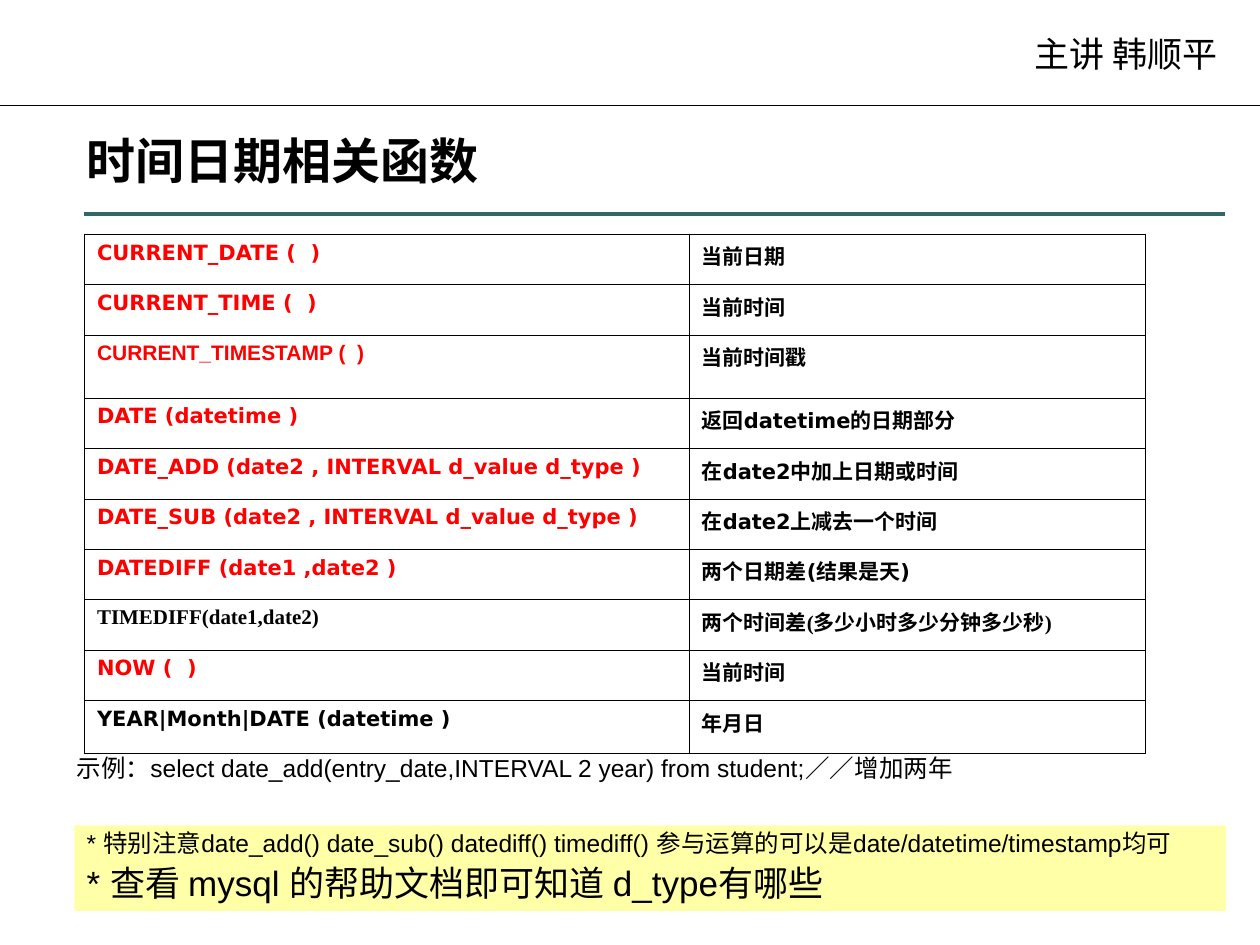
import pptx
import pptx.dml.color
import pptx.enum.shapes
import pptx.enum.text
import pptx.oxml
import pptx.oxml.ns
import pptx.util
from lxml import etree

Inches, Pt = pptx.util.Inches, pptx.util.Pt
qn = pptx.oxml.ns.qn

PRESENTER = "主讲 韩顺平"
TITLE = "时间日期相关函数"
SANS, ARIAL, SERIF = "DejaVu Sans", "Arial", "Times New Roman"
FUNCTIONS = [
    ("CURRENT_DATE (  )", "当前日期", "highlight", SANS, SANS),
    ("CURRENT_TIME (  )", "当前时间", "highlight", SANS, SANS),
    ("CURRENT_TIMESTAMP (  )", "当前时间戳", "highlight", ARIAL, ARIAL),
    ("DATE (datetime )", "返回datetime的日期部分", "highlight", SANS, SANS),
    ("DATE_ADD (date2 , INTERVAL d_value d_type )", "在date2中加上日期或时间", "highlight", SANS, SANS),
    ("DATE_SUB (date2 , INTERVAL d_value d_type )", "在date2上减去一个时间", "highlight", SANS, SANS),
    ("DATEDIFF (date1 ,date2 )", "两个日期差(结果是天)", "highlight", SANS, SANS),
    ("TIMEDIFF(date1,date2)", "两个时间差(多少小时多少分钟多少秒)", "text", SERIF, SERIF),
    ("NOW (  )", "当前时间", "highlight", SANS, SANS),
    ("YEAR|Month|DATE (datetime )", "年月日", "text", SANS, SERIF),
]
COLUMN_WIDTHS = (4.8, 3.62)
ROW_HEIGHT = 0.4
SPECIAL_HEIGHTS = {2: 0.5, 9: 0.42}
EXAMPLE = "示例：select date_add(entry_date,INTERVAL 2 year) from student;／／增加两年"
NOTES = [
    ("* 特别注意date_add() date_sub() datediff() timediff() 参与运算的可以是date/datetime/timestamp均可", "note"),
    ("* 查看 mysql 的帮助文档即可知道 d_type有哪些", "large"),
]
THEME = {
    "text": "000000", "highlight": "FF0000", "rule": "336666", "note_fill": "FFFF00",
    "sizes": {"title": 28, "large": 20, "note": 14, "cell": 12},
}
HANGING = 0.38


def rgb(key):
    return pptx.dml.color.RGBColor.from_string(THEME[key])


def write(paragraph, text, size, font=ARIAL, color="text", bold=False, hanging=0, spacing=None, before=None):
    if hanging:
        properties = paragraph._p.get_or_add_pPr()
        properties.set("marL", str(Inches(hanging)))
        properties.set("indent", str(-Inches(hanging)))
    paragraph.alignment = pptx.enum.text.PP_ALIGN.LEFT
    paragraph.line_spacing = spacing
    paragraph.space_before = before
    run = paragraph.add_run()
    run.text = text
    run.font.size = Pt(THEME["sizes"][size])
    run.font.name = font
    run.font.bold = bold
    run.font.color.rgb = rgb(color)


def add_text(slide, left, top, width, height, text, size, anchor="TOP", **text_format):
    frame = slide.shapes.add_textbox(*map(Inches, (left, top, width, height))).text_frame
    frame.word_wrap = True
    frame.vertical_anchor = pptx.enum.text.MSO_ANCHOR[anchor]
    write(frame.paragraphs[0], text, size, **text_format)


def add_rule(slide, left, right, y, color, weight):
    rule = slide.shapes.add_connector(
        pptx.enum.shapes.MSO_CONNECTOR.STRAIGHT, Inches(left), Inches(y), Inches(right), Inches(y))
    rule.line.color.rgb = rgb(color)
    rule.line.width = Pt(weight)
    etree.SubElement(rule._element.spPr, qn("a:effectLst"))


def add_borders(cell):
    properties = cell._tc.get_or_add_tcPr()
    for side in ("lnL", "lnR", "lnT", "lnB"):
        border = etree.SubElement(properties, qn(f"a:{side}"), w=str(Pt(0.45)))
        fill = etree.SubElement(border, qn("a:solidFill"))
        etree.SubElement(fill, qn("a:srgbClr"), val=THEME["text"])


def add_function_table(slide):
    heights = [SPECIAL_HEIGHTS.get(i, ROW_HEIGHT) for i in range(len(FUNCTIONS))]
    table = slide.shapes.add_table(
        len(FUNCTIONS), len(COLUMN_WIDTHS), Inches(0.67), Inches(1.86),
        Inches(sum(COLUMN_WIDTHS)), Inches(sum(heights))).table
    table.first_row = table.horz_banding = False
    for column, width in zip(table.columns, COLUMN_WIDTHS):
        column.width = Inches(width)
    for i, (call, meaning, color, call_font, meaning_font) in enumerate(FUNCTIONS):
        table.rows[i].height = Inches(heights[i])
        hanging = 0 if call_font == ARIAL else HANGING
        contents = ((call, color, call_font), (meaning, "text", meaning_font))
        for cell, (text, cell_color, font) in zip(table.rows[i].cells, contents):
            add_borders(cell)
            cell.fill.background()
            write(cell.text_frame.paragraphs[0], text, "cell", font=font,
                  color=cell_color, bold=True, hanging=hanging)


def add_notes_panel(slide):
    panel = slide.shapes.add_shape(
        pptx.enum.shapes.MSO_SHAPE.RECTANGLE, *map(Inches, (0.59, 6.55, 9.14, 0.68)))
    panel.shadow.inherit = False
    panel.line.fill.background()
    panel.fill.solid()
    panel.fill.fore_color.rgb = rgb("note_fill")
    tint = panel._element.spPr.find(qn("a:solidFill")).find(qn("a:srgbClr"))
    etree.SubElement(tint, qn("a:alpha"), val="34000")
    frame = panel.text_frame
    frame.word_wrap = True
    frame.vertical_anchor = pptx.enum.text.MSO_ANCHOR.TOP
    for i, (text, size) in enumerate(NOTES):
        paragraph = frame.add_paragraph() if i else frame.paragraphs[0]
        write(paragraph, text, size, hanging=HANGING, spacing=0.9, before=Pt(5) if i else None)


def main():
    """Build the slide on date and time functions."""
    deck = pptx.Presentation()
    deck.slide_width, deck.slide_height = Inches(10), Inches(7.5)
    slide = deck.slides.add_slide(deck.slide_layouts[6])
    add_rule(slide, 0, 10, 0.84, "text", 0.75)
    add_text(slide, 8.11, 0.21, 1.77, 0.44, PRESENTER, "large")
    add_text(slide, 0.59, 0.84, 8.9, 0.71, TITLE, "title", anchor="BOTTOM", bold=True)
    add_rule(slide, 0.67, 9.72, 1.7, "rule", 2)
    add_function_table(slide)
    add_text(slide, 0.51, 5.95, 8.51, 0.31, EXAMPLE, "note", hanging=HANGING, spacing=0.9)
    add_notes_panel(slide)
    deck.save("out.pptx")


if __name__ == "__main__":
    main()
